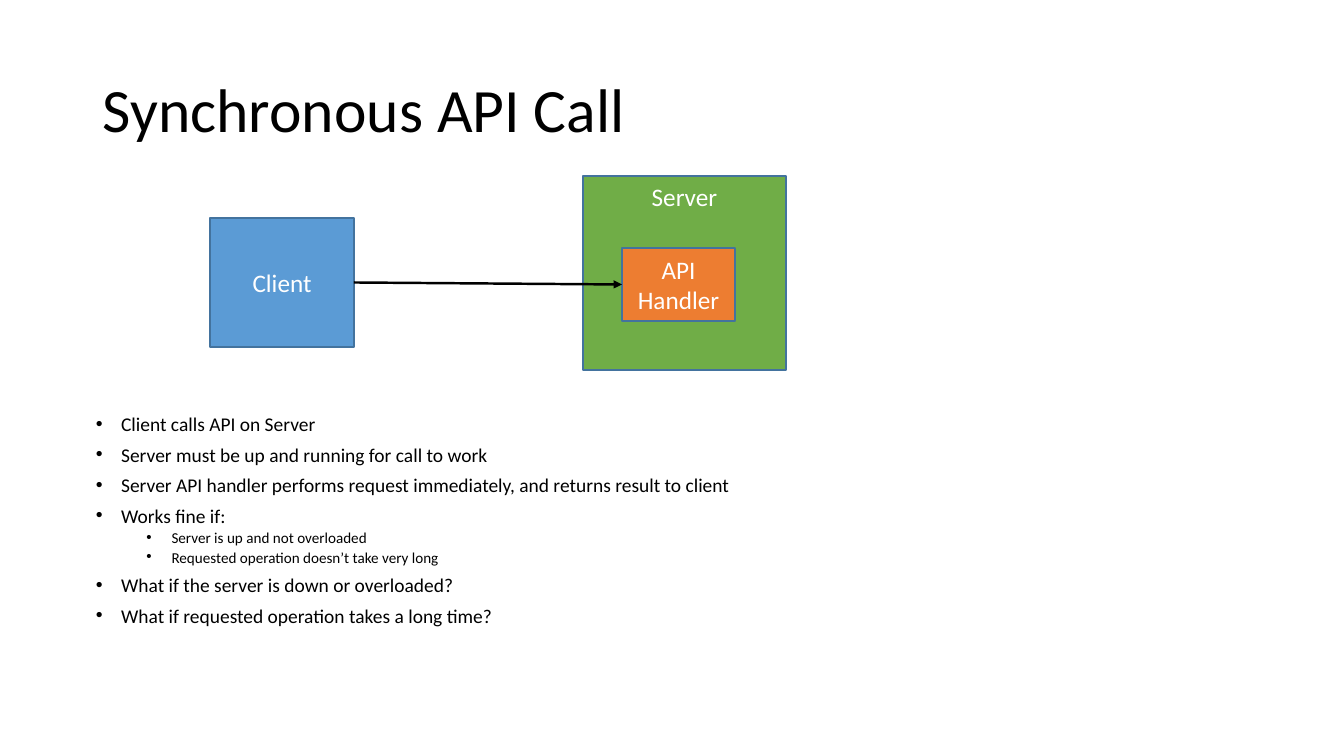
"""Build the slide that explains a synchronous API call."""
import lxml.etree
import pptx
import pptx.dml.color
import pptx.enum.shapes
import pptx.enum.text
import pptx.oxml.ns
import pptx.util

SCALE = 914400 / 100.8
THEME = {
    "font": "Calibri",
    "text": "000000", "light": "FFFFFF", "border": "43739E",
    "client": "5B9BD5", "server": "70AD47", "handler": "ED7D31",
    "title_size": 44, "box_size": 18, "bullet_sizes": (13.9, 10.8),
    "border_width": 1, "arrow_width": 1.75,
}
BULLETS = [
    (0, "Client calls API on Server"),
    (0, "Server must be up and running for call to work"),
    (0, "Server API handler performs request immediately, and returns result to client"),
    (0, "Works fine if:"),
    (1, "Server is up and not overloaded"),
    (1, "Requested operation doesn’t take very long"),
    (0, "What if the server is down or overloaded?"),
    (0, "What if requested operation takes a long time?"),
]
ANCHOR = pptx.enum.text.MSO_ANCHOR
BOXES = [
    ("client", (210, 218, 144, 129), ANCHOR.MIDDLE, ["Client"]),
    ("server", (583, 176, 203, 194), ANCHOR.TOP, ["Server"]),
    ("handler", (622, 248, 113, 73), ANCHOR.MIDDLE, ["API", "Handler"]),
]


def emu(*pixels):
    return [pptx.util.Emu(round(value * SCALE)) for value in pixels]


def write(frame, index, text, size, color, **paragraph_format):
    paragraph = frame.paragraphs[0] if index == 0 else frame.add_paragraph()
    for name, value in paragraph_format.items():
        setattr(paragraph, name, value)
    run = paragraph.add_run()
    run.text = text
    font_format = {"name": THEME["font"], "size": pptx.util.Pt(size)}
    for name, value in font_format.items():
        setattr(run.font, name, value)
    run.font.color.rgb = pptx.dml.color.RGBColor.from_string(THEME[color])
    return paragraph


presentation = pptx.Presentation()
presentation.slide_width, presentation.slide_height = emu(1344, 756)
slide = presentation.slides.add_slide(presentation.slide_layouts[6])

title = slide.shapes.add_textbox(*emu(93, 40, 1159, 146)).text_frame
title.word_wrap = True
title.vertical_anchor = ANCHOR.MIDDLE
write(title, 0, "Synchronous API Call", THEME["title_size"], "text", line_spacing=0.9)

body = slide.shapes.add_textbox(*emu(86, 414, 1159, 225)).text_frame
body.word_wrap = True
for index, (level, text) in enumerate(BULLETS):
    paragraph = write(
        body, index, text, THEME["bullet_sizes"][level], "text",
        level=level, line_spacing=0.7, space_before=pptx.util.Pt(10 - 5 * level))
    properties = paragraph._p.get_or_add_pPr()
    properties.set("marL", str(pptx.util.Inches(0.25 + 0.5 * level)))
    properties.set("indent", str(pptx.util.Inches(-0.25)))
    bullet_font = lxml.etree.SubElement(properties, pptx.oxml.ns.qn("a:buFont"))
    bullet_font.set("typeface", "Arial")
    bullet = lxml.etree.SubElement(properties, pptx.oxml.ns.qn("a:buChar"))
    bullet.set("char", "•")

boxes = {}
for name, bounds, anchor, lines in BOXES:
    shape = slide.shapes.add_shape(pptx.enum.shapes.MSO_SHAPE.RECTANGLE, *emu(*bounds))
    shape.shadow.inherit = False
    shape.fill.solid()
    shape.fill.fore_color.rgb = pptx.dml.color.RGBColor.from_string(THEME[name])
    shape.line.color.rgb = pptx.dml.color.RGBColor.from_string(THEME["border"])
    shape.line.width = pptx.util.Pt(THEME["border_width"])
    shape.text_frame.word_wrap = True
    shape.text_frame.vertical_anchor = anchor
    for index, text in enumerate(lines):
        write(shape.text_frame, index, text, THEME["box_size"], "light",
              alignment=pptx.enum.text.PP_ALIGN.CENTER)
    boxes[name] = shape

call = slide.shapes.add_connector(
    pptx.enum.shapes.MSO_CONNECTOR.STRAIGHT, *emu(354, 282, 622, 284))
call.begin_connect(boxes["client"], 3)
call.end_connect(boxes["handler"], 1)
call.line.color.rgb = pptx.dml.color.RGBColor.from_string(THEME["text"])
call.line.width = pptx.util.Pt(THEME["arrow_width"])
arrowhead = lxml.etree.SubElement(call.line._get_or_add_ln(), pptx.oxml.ns.qn("a:tailEnd"))
arrowhead.set("type", "triangle")
lxml.etree.SubElement(call._element.spPr, pptx.oxml.ns.qn("a:effectLst"))

presentation.save("out.pptx")
